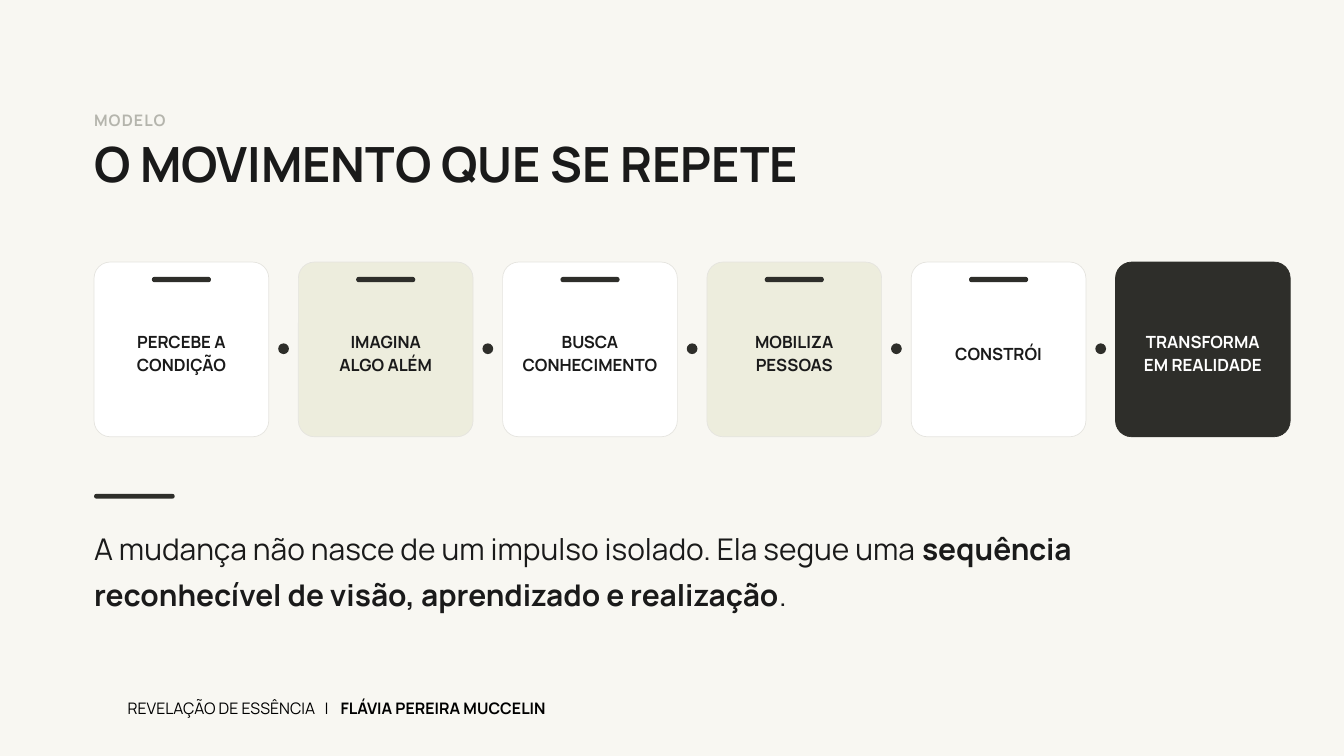
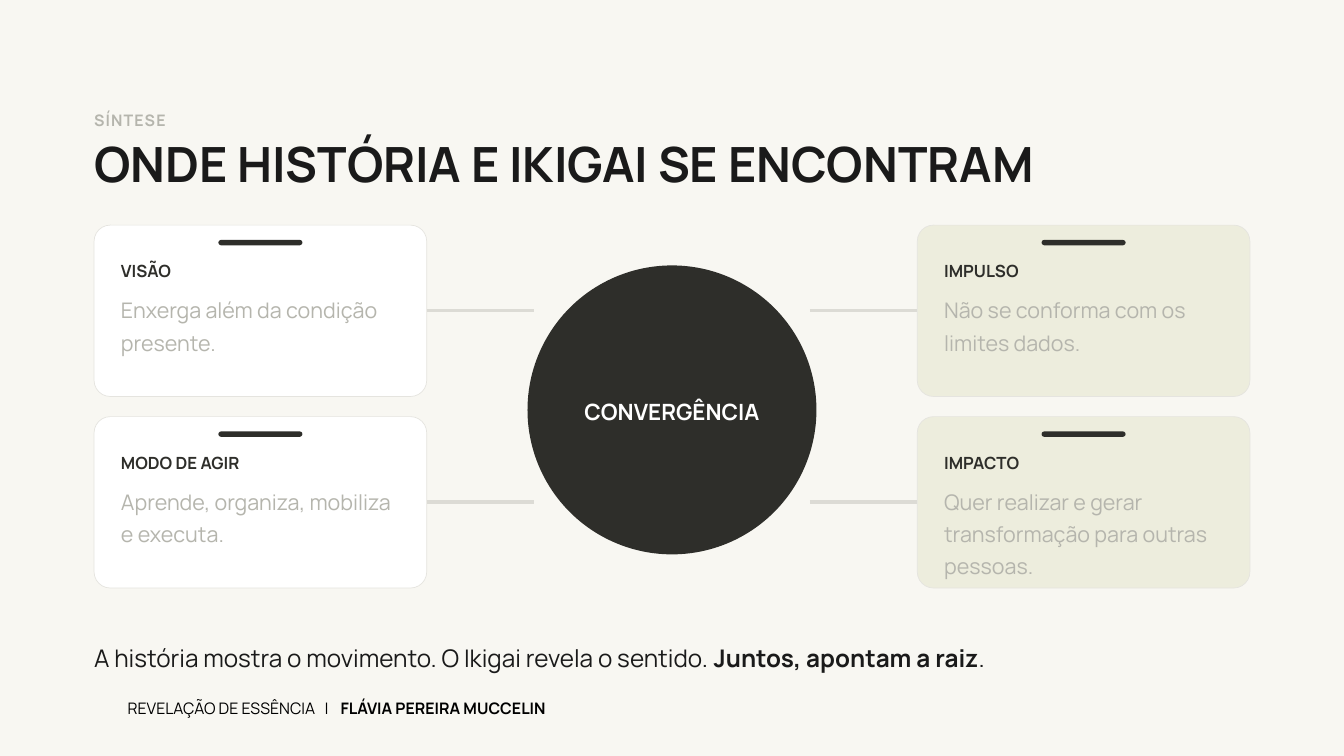
from lxml.etree import SubElement
from pptx import Presentation
from pptx.dml.color import RGBColor
from pptx.enum.shapes import MSO_CONNECTOR, MSO_SHAPE
from pptx.enum.text import MSO_ANCHOR, MSO_AUTO_SIZE, PP_ALIGN
from pptx.oxml.ns import qn
from pptx.util import Emu, Pt

EMU_PER_PX = 9144  # 100 px to the inch
SLIDE_WIDTH, SLIDE_HEIGHT = 2000, 1125
LEFT = 140
CARD_RADIUS = 24
FONT = "Manrope"
COLORS = {
    "background": "F8F7F2",
    "ink": "1A1A1A",
    "dark": "2E2E2A",
    "muted": "B5B5AD",
    "white": "FFFFFF",
    "sage": "EDEDDD",
    "border": "E5E4DF",
    "link": "DCDBD5",
    "black": "000000",
}
STEPS = [
    ("PERCEBE A", "CONDIÇÃO"),
    ("IMAGINA", "ALGO ALÉM"),
    ("BUSCA", "CONHECIMENTO"),
    ("MOBILIZA", "PESSOAS"),
    ("CONSTRÓI",),
    ("TRANSFORMA", "EM REALIDADE"),
]
QUADRANTS = [
    [("VISÃO", "Enxerga além da condição presente."),
     ("IMPULSO", "Não se conforma com os limites dados.")],
    [("MODO DE AGIR", "Aprende, organiza, mobiliza e executa."),
     ("IMPACTO", "Quer realizar e gerar transformação para outras pessoas.")],
]


def px(value):
    return Emu(round(value * EMU_PER_PX))


def color(name):
    return RGBColor.from_string(COLORS[name])


def write(frame, paragraphs, size, ink, line_spacing=1.15, align=PP_ALIGN.LEFT,
          anchor=MSO_ANCHOR.TOP, margins=(0, 0, 0, 0)):
    """Fill a text frame; each paragraph is a list of (text, bold) runs."""
    frame.word_wrap = True
    frame.auto_size = MSO_AUTO_SIZE.NONE
    frame.vertical_anchor = anchor
    (frame.margin_left, frame.margin_top,
     frame.margin_right, frame.margin_bottom) = map(px, margins)
    for index, runs in enumerate(paragraphs):
        paragraph = frame.add_paragraph() if index else frame.paragraphs[0]
        paragraph.alignment = align
        paragraph.line_spacing = line_spacing
        for text, bold in runs:
            run = paragraph.add_run()
            run.text = text
            run.font.name = FONT
            run.font.size = Pt(size)
            run.font.bold = bold
            run.font.color.rgb = color(ink)


def add_text(slide, box, runs, size, ink, line_spacing=1.15):
    frame = slide.shapes.add_textbox(*map(px, box)).text_frame
    write(frame, [runs], size, ink, line_spacing)
    return frame.paragraphs[0]


def add_block(slide, kind, box, fill, border=None):
    shape = slide.shapes.add_shape(kind, *map(px, box))
    shape.shadow.inherit = False
    shape.fill.solid()
    shape.fill.fore_color.rgb = color(fill)
    if border:
        shape.line.color.rgb = color(border)
        shape.line.width = Pt(0.75)
    else:
        shape.line.fill.background()
    return shape


def add_bar(slide, box):
    add_block(slide, MSO_SHAPE.ROUNDED_RECTANGLE, box, "dark").adjustments[0] = 0.5


def add_card(slide, box, fill, bar_width=0):
    left, top, width, height = box
    border = "dark" if fill == "dark" else "border"
    card = add_block(slide, MSO_SHAPE.ROUNDED_RECTANGLE, box, fill, border)
    card.adjustments[0] = CARD_RADIUS / min(width, height)
    if bar_width:
        add_bar(slide, (left + (width - bar_width) // 2, top + 22, bar_width, 8))
    return card


def add_link(slide, left, right, y):
    connector = slide.shapes.add_connector(
        MSO_CONNECTOR.STRAIGHT, px(left), px(y), px(right), px(y))
    connector.line.color.rgb = color("link")
    connector.line.width = px(5)
    SubElement(connector._element.spPr, qn("a:effectLst"))


def add_footer(slide):
    paragraph = add_text(slide, (190, 1036, 1150, 40),
                         [("REVELAÇÃO DE ESSÊNCIA\t|\t", False),
                          ("FLÁVIA PEREIRA MUCCELIN", True)], 17, "black")
    tabs = SubElement(paragraph._p.get_or_add_pPr(), qn("a:tabLst"))
    for position in (293, 317):
        SubElement(tabs, qn("a:tab"), pos=str(px(position)), algn="l")


def add_slide(presentation, section, title):
    """Start a slide with its section label, title and footer."""
    slide = presentation.slides.add_slide(presentation.slide_layouts[5])
    label = add_text(slide, (LEFT, 160, 1400, 45), [(section, True)], 17, "muted")
    label.runs[0]._r.get_or_add_rPr().set("spc", "120")
    placeholder = slide.shapes.title
    placeholder.left, placeholder.top = px(LEFT), px(195)
    placeholder.width, placeholder.height = px(1720), px(101)
    write(placeholder.text_frame, [[(title, True)]], 52, "ink", 1.05)
    add_footer(slide)
    return slide


def build_movement(presentation):
    slide = add_slide(presentation, "MODELO", "O MOVIMENTO QUE SE REPETE")
    side, gap, top, dot = 260, 44, 390, 16
    for index, lines in enumerate(STEPS):
        left = LEFT + index * (side + gap)
        last = index == len(STEPS) - 1
        fill = "dark" if last else ("white", "sage")[index % 2]
        card = add_card(slide, (left, top, side, side), fill, 0 if last else 88)
        write(card.text_frame, [[(line, True)] for line in lines], 18,
              "white" if last else "ink", align=PP_ALIGN.CENTER,
              anchor=MSO_ANCHOR.MIDDLE, margins=(12, 8, 12, 0))
        if not last:
            add_block(slide, MSO_SHAPE.OVAL,
                      (left + side + (gap - dot) // 2, 511, dot, dot), "dark")
    add_bar(slide, (LEFT, 735, 120, 7))
    add_text(slide, (LEFT, 775, 1660, 160),
             [("A mudança não nasce de um impulso isolado. Ela segue uma ", False),
              ("sequência reconhecível de visão, aprendizado e realização", True),
              (".", False)], 32, "ink", 1.28)


def build_convergence(presentation):
    slide = add_slide(presentation, "SÍNTESE", "ONDE HISTÓRIA E IKIGAI SE ENCONTRAM")
    width, height, gap, padding, link = 495, 255, 30, 40, 160
    columns = (LEFT, SLIDE_WIDTH - LEFT - width)
    for row, quadrants in enumerate(QUADRANTS):
        top = 335 + row * (height + gap)
        for left, fill, (heading, body) in zip(columns, ("white", "sage"), quadrants):
            add_card(slide, (left, top, width, height), fill, 125)
            text_left, text_width = left + padding, width - 2 * padding
            add_text(slide, (text_left, top + 48, text_width, 49),
                     [(heading, True)], 18, "dark", 1.18)
            add_text(slide, (text_left, top + 98, text_width, 150),
                     [(body, False)], 23, "muted", 1.25)
        link_y = top + height // 2
        add_link(slide, columns[0] + width, columns[0] + width + link, link_y)
        add_link(slide, columns[1] - link, columns[1], link_y)
    circle = add_block(slide, MSO_SHAPE.OVAL, (785, 395, 430, 430), "dark")
    write(circle.text_frame, [[("CONVERGÊNCIA", True)]], 24, "white",
          align=PP_ALIGN.CENTER, anchor=MSO_ANCHOR.MIDDLE)
    add_text(slide, (LEFT, 945, 1660, 70),
             [("A história mostra o movimento. O Ikigai revela o sentido. ", False),
              ("Juntos, apontam a raiz", True), (".", False)], 26, "ink", 1.28)


def main():
    presentation = Presentation()
    presentation.slide_width = px(SLIDE_WIDTH)
    presentation.slide_height = px(SLIDE_HEIGHT)
    background = presentation.slide_master.background.fill
    background.solid()
    background.fore_color.rgb = color("background")
    build_movement(presentation)
    build_convergence(presentation)
    presentation.save("out.pptx")


if __name__ == "__main__":
    main()
